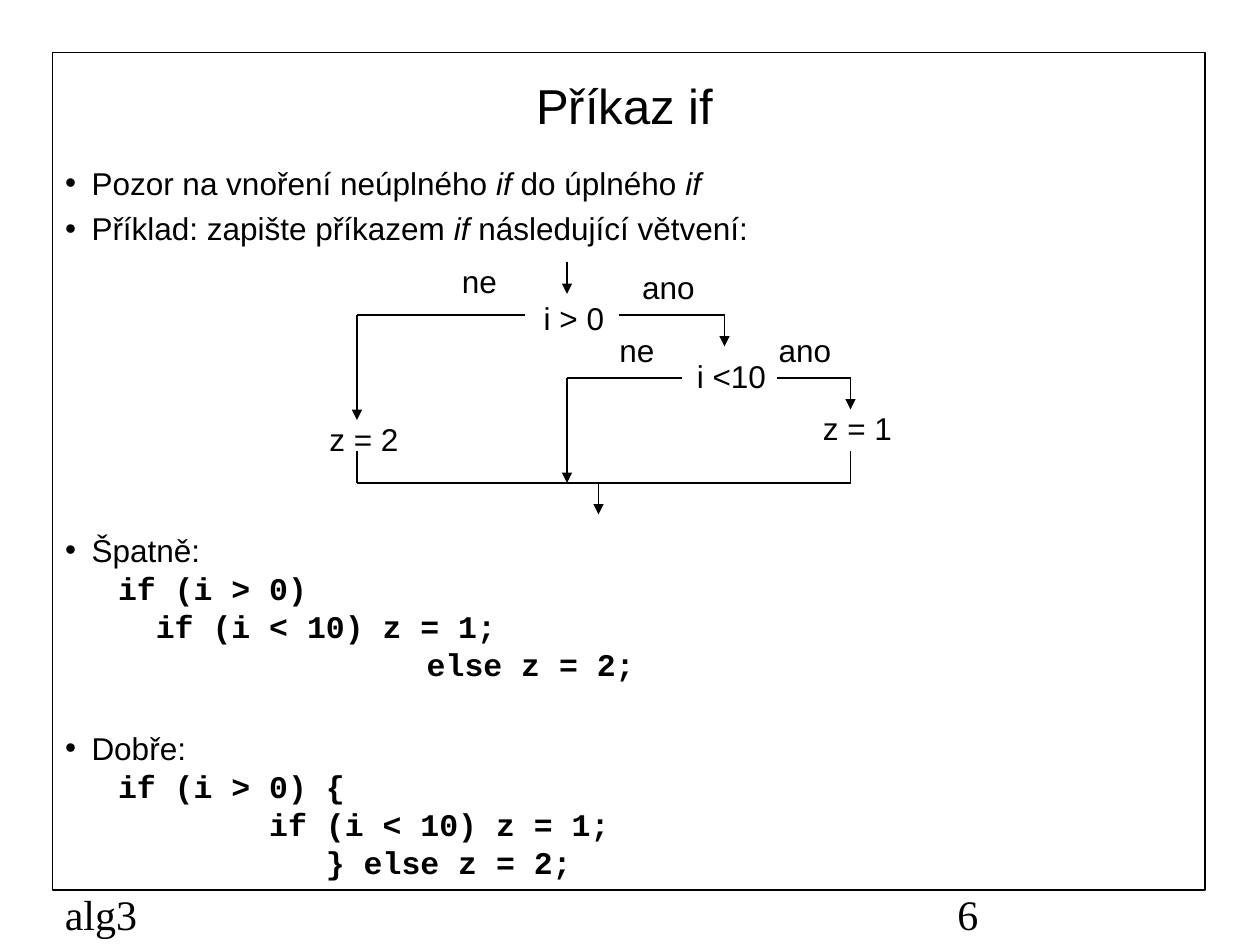
from itertools import pairwise

from lxml import etree
from pptx import Presentation
from pptx import util as u
from pptx.dml.color import RGBColor
from pptx.enum import shapes, text
from pptx.oxml.ns import qn

COLORS = {"ink": "000000"}
INK = RGBColor.from_string(COLORS["ink"])
SANS, MONO, SERIF = "Arial", "Courier New", "Times New Roman"

TITLE = "Příkaz if"
# (kind, runs split at *italic* marks, space before in points)
BODY = [
    ("bullet", "Pozor na vnoření neúplného *if* do úplného *if*", 0),
    ("bullet", "Příklad: zapište příkazem *if* následující větvení:", 4.5),
    ("bullet", "Špatně:", 162),
    ("code", "if (i > 0)", 4.5),
    ("code", "  if (i < 10) z = 1;", 4.5),
    ("code", "\t\t   else z = 2;", 4.5),
    ("bullet", "Dobře:", 26),
    ("code", "if (i > 0) {", 4.5),
    ("code", "        if (i < 10) z = 1;", 4.5),
    ("code", "           } else z = 2;", 4.5),
]

# Flowchart positions are in grid cells, twelve to the inch
STEP_WIDTH, BRANCH_WIDTH, LABEL_HEIGHT = 14, 8, 3.6
STEPS = [("i > 0", 47, 28.5), ("i <10", 62, 34), ("z = 1", 74, 39), ("z = 2", 27, 40)]
BRANCHES = [("ano", 59, 25.5), ("ano", 72, 31.5), ("ne", 41, 25), ("ne", 56, 31.5)]
ARROWS = [
    [(54, 25), (54, 28)],
    [(59, 30), (69, 30), (69, 33)],
    [(50, 30), (34, 30), (34, 40)],
    [(74, 36), (81, 36), (81, 39)],
    [(65, 36), (54, 36), (54, 46)],
    [(57, 46), (57, 49)],
]
JOIN = [(34, 43), (34, 46), (81, 46), (81, 43)]
FOOTERS = [("alg3", 5, 38), ("6", 90, 25)]


def cells(*counts):
    return [u.Inches(count / 12) for count in counts]


def set_font(paragraph, name, size, bold=False):
    font = paragraph.font
    font.name, font.size, font.bold = name, u.Pt(size), bold
    font.color.rgb = INK


def set_indent(paragraph, left, first):
    props = paragraph._p.get_or_add_pPr()
    props.set("marL", str(u.Inches(left)))
    props.set("indent", str(u.Inches(first)))
    return props


def place(shape, left, top, width, height):
    shape.left, shape.top, shape.width, shape.height = cells(left, top, width, height)


def add_body(frame):
    frame.auto_size = text.MSO_AUTO_SIZE.NONE
    frame.vertical_anchor = text.MSO_ANCHOR.TOP
    for index, (kind, line, gap) in enumerate(BODY):
        paragraph = frame.paragraphs[0] if index == 0 else frame.add_paragraph()
        paragraph.space_before = u.Pt(gap)
        if kind == "bullet":
            props = set_indent(paragraph, 0.21, -0.21)
            etree.SubElement(props, qn("a:buChar")).set("char", "•")
            set_font(paragraph, SANS, 18)
        else:
            paragraph.level = 1
            paragraph.line_spacing = 0.8
            props = set_indent(paragraph, 0.42, 0)
            props.set("defTabSz", str(u.Inches(1)))
            etree.SubElement(props, qn("a:buNone"))
            set_font(paragraph, MONO, 18, bold=True)
        for part, words in enumerate(line.split("*")):
            if words:
                run = paragraph.add_run()
                run.text = words
                if part % 2:
                    run.font.italic = True


def add_label(slide, words, left, top, width):
    box = slide.shapes.add_textbox(*cells(left, top, width, LABEL_HEIGHT))
    frame = box.text_frame
    frame.word_wrap = True
    frame.auto_size = text.MSO_AUTO_SIZE.SHAPE_TO_FIT_TEXT
    frame.vertical_anchor = text.MSO_ANCHOR.BOTTOM
    frame.margin_left = frame.margin_right = u.Inches(0.02)
    frame.margin_top = frame.margin_bottom = 0
    paragraph = frame.paragraphs[0]
    paragraph.text = words
    paragraph.alignment = text.PP_ALIGN.CENTER
    set_indent(paragraph, 0.32, -0.21)
    set_font(paragraph, SANS, 18)


def add_route(slide, points, arrow):
    """Draw straight lines through the points, with an optional arrowhead at the end."""
    for start, end in pairwise(points):
        line = slide.shapes.add_connector(
            shapes.MSO_CONNECTOR.STRAIGHT, *cells(*start, *end))
        line.line.color.rgb = INK
        line.line.width = u.Pt(0.75)
        if arrow and end == points[-1]:
            etree.SubElement(line.line._get_or_add_ln(), qn("a:tailEnd")).set("type", "triangle")
        etree.SubElement(line._element.spPr, qn("a:effectLst"))


def add_footer(slide, words, left, width):
    frame = slide.shapes.add_textbox(*cells(left, 84, width, 6)).text_frame
    frame.word_wrap = True
    frame.vertical_anchor = text.MSO_ANCHOR.MIDDLE
    frame.text = words
    set_font(frame.paragraphs[0], SERIF, 24)


def main():
    deck = Presentation()
    deck.slide_width, deck.slide_height = u.Inches(10), u.Inches(7.5)
    slide = deck.slides.add_slide(deck.slide_layouts[1])
    title, body = slide.placeholders

    border = slide.shapes.add_shape(
        shapes.MSO_SHAPE.RECTANGLE, *cells(5, 5, 109.8, 79.8))
    border.shadow.inherit = False
    border.fill.background()
    border.line.color.rgb = INK
    border.line.width = u.Pt(1)
    slide.shapes._spTree.insert(2, border._element)

    place(title, 6, 6, 107, 8)
    title.text_frame.text = TITLE
    title.text_frame.auto_size = text.MSO_AUTO_SIZE.NONE
    title.text_frame.vertical_anchor = text.MSO_ANCHOR.MIDDLE
    title.text_frame.paragraphs[0].alignment = text.PP_ALIGN.CENTER
    set_font(title.text_frame.paragraphs[0], SANS, 28)

    place(body, 5, 15, 110, 70)
    add_body(body.text_frame)

    for step in STEPS:
        add_label(slide, *step, STEP_WIDTH)
    for route in ARROWS:
        add_route(slide, route, arrow=True)
    add_route(slide, JOIN, arrow=False)
    for branch in BRANCHES:
        add_label(slide, *branch, BRANCH_WIDTH)
    for footer in FOOTERS:
        add_footer(slide, *footer)

    deck.save("out.pptx")


if __name__ == "__main__":
    main()
